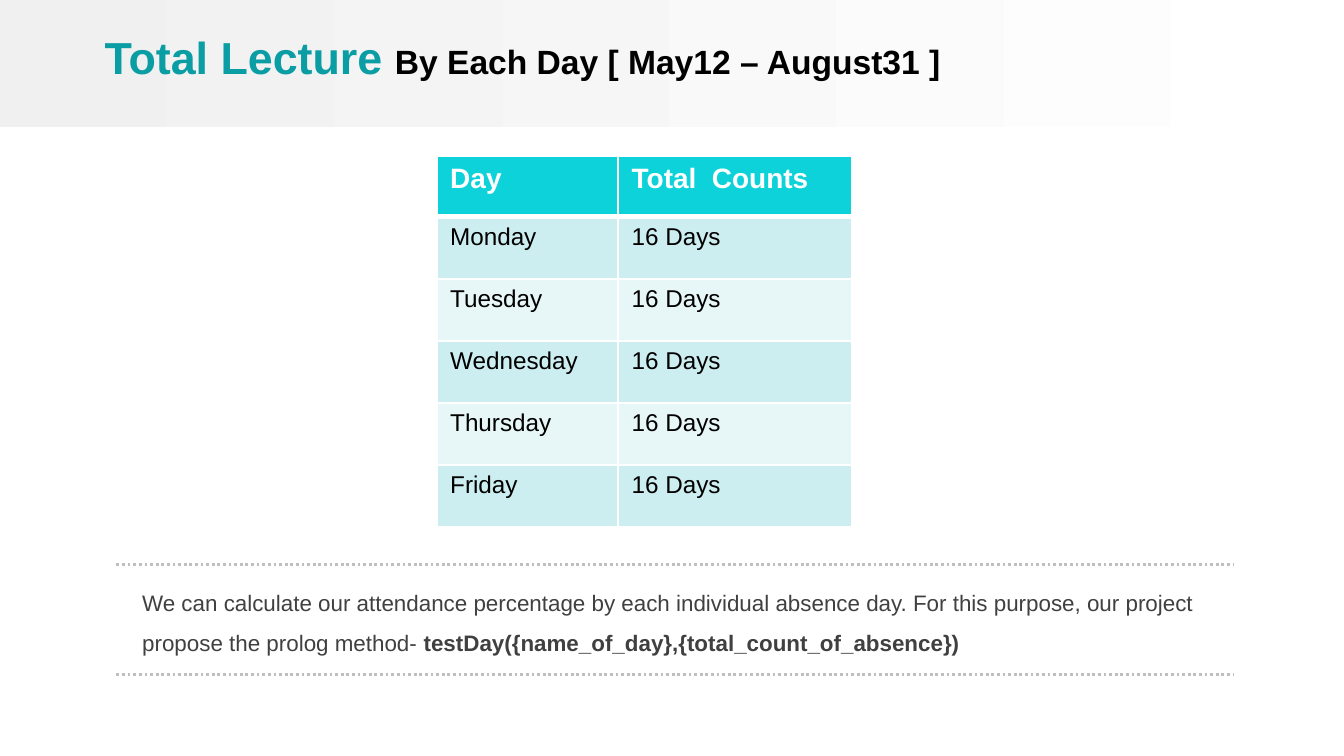
"""Build the slide that lists total lecture days per weekday."""
import lxml.etree
import pptx
import pptx.dml.color
import pptx.enum.dml
import pptx.enum.shapes
import pptx.enum.text
import pptx.oxml
import pptx.oxml.ns
import pptx.util

Pt = pptx.util.Pt
qn = pptx.oxml.ns.qn


def color(value):
    """Turn a hex string into a colour."""
    return pptx.dml.color.RGBColor.from_string(value)


def style(span, size, value, bold=False):
    """Format one run."""
    span.font.name = "Arial"
    span.font.size = Pt(size)
    span.font.bold = bold
    span.font.color.rgb = color(value)


deck = pptx.Presentation()
deck.slide_width, deck.slide_height = Pt(720), Pt(405)
page = deck.slides.add_slide(deck.slide_layouts[5])

band = page.shapes.add_shape(pptx.enum.shapes.MSO_SHAPE.RECTANGLE, 0, 0, Pt(717), Pt(68))
band.shadow.inherit = False
band.line.fill.background()
band.fill.gradient()
band.fill.gradient_angle = 0
for stop, value, position in zip(band.fill.gradient_stops, ("F0F0F0", "FFFFFF"), (0, 1)):
    stop.color.rgb = color(value)
    stop.position = position
page.shapes._spTree.insert(2, band._element)

title = page.shapes.title
title.left, title.top, title.width, title.height = Pt(-31), Pt(0), Pt(720), Pt(61)
title.text_frame.margin_left = Pt(87)
title.text_frame.auto_size = pptx.enum.text.MSO_AUTO_SIZE.NONE
title.text_frame.vertical_anchor = pptx.enum.text.MSO_ANCHOR.MIDDLE
para = title.text_frame.paragraphs[0]
para.alignment = pptx.enum.text.PP_ALIGN.LEFT
for text, size, value in (
    ("Total Lecture ", 24, "0A9DA3"),
    ("By Each Day [ May12 – August31 ]", 18, "000000"),
):
    span = para.add_run()
    span.text = text
    style(span, size, value, True)

days = ("Monday", "Tuesday", "Wednesday", "Thursday", "Friday")
rows = [("Day", "Total  Counts")] + [(day, "16 Days") for day in days]
table = page.shapes.add_table(len(rows), 2, Pt(234), Pt(83.8), Pt(222.5), Pt(198.4)).table
table.columns[0].width, table.columns[1].width = Pt(97.2), Pt(125.3)
for row, texts in enumerate(rows):
    table.rows[row].height = Pt(33.2 if row else 32.4)
    for column, text in enumerate(texts):
        cell = table.cell(row, column)
        cell.text = text
        span = cell.text_frame.paragraphs[0].runs[0]
        cell.fill.solid()
        if row == 0:
            style(span, 15, "FFFFFF", True)
            cell.fill.fore_color.rgb = color("0DD2D9")
        else:
            style(span, 13, "000000")
            cell.fill.fore_color.rgb = color("CCEEF1" if row % 2 else "E7F7F8")
        properties = cell._tc.get_or_add_tcPr()
        for index, side in enumerate(("lnL", "lnR", "lnT", "lnB")):
            thick = (row, side) in ((0, "lnB"), (1, "lnT"))
            border = pptx.oxml.parse_xml(
                f'<a:{side} xmlns:a="http://schemas.openxmlformats.org/drawingml/2006/main" '
                f'w="{Pt(3 if thick else 1)}"><a:solidFill><a:srgbClr val="FFFFFF"/>'
                f"</a:solidFill></a:{side}>"
            )
            properties.insert(index, border)

for top in (302.4, 361.4):
    rule = page.shapes.add_connector(
        pptx.enum.shapes.MSO_CONNECTOR.STRAIGHT, Pt(62.4), Pt(top), Pt(660.5), Pt(top)
    )
    rule.line.color.rgb = color("BFBFBF")
    rule.line.width = Pt(1.5)
    rule.line.dash_style = pptx.enum.dml.MSO_LINE.ROUND_DOT
    lxml.etree.SubElement(rule._element.spPr, qn("a:effectLst"))

box = page.shapes.add_textbox(Pt(69.1), Pt(304.6), Pt(581), Pt(51.1))
box.text_frame.word_wrap = True
lines = (
    ("We can calculate our attendance percentage by each individual absence day. "
     "For this purpose, our project",),
    ("propose the prolog method- ", "testDay({name_of_day},{total_count_of_absence})"),
)
for number, texts in enumerate(lines):
    para = box.text_frame.add_paragraph() if number else box.text_frame.paragraphs[0]
    para.line_spacing = 1.5
    for position, text in enumerate(texts):
        span = para.add_run()
        span.text = text
        style(span, 12, "404040", position == 1)

deck.save("out.pptx")
